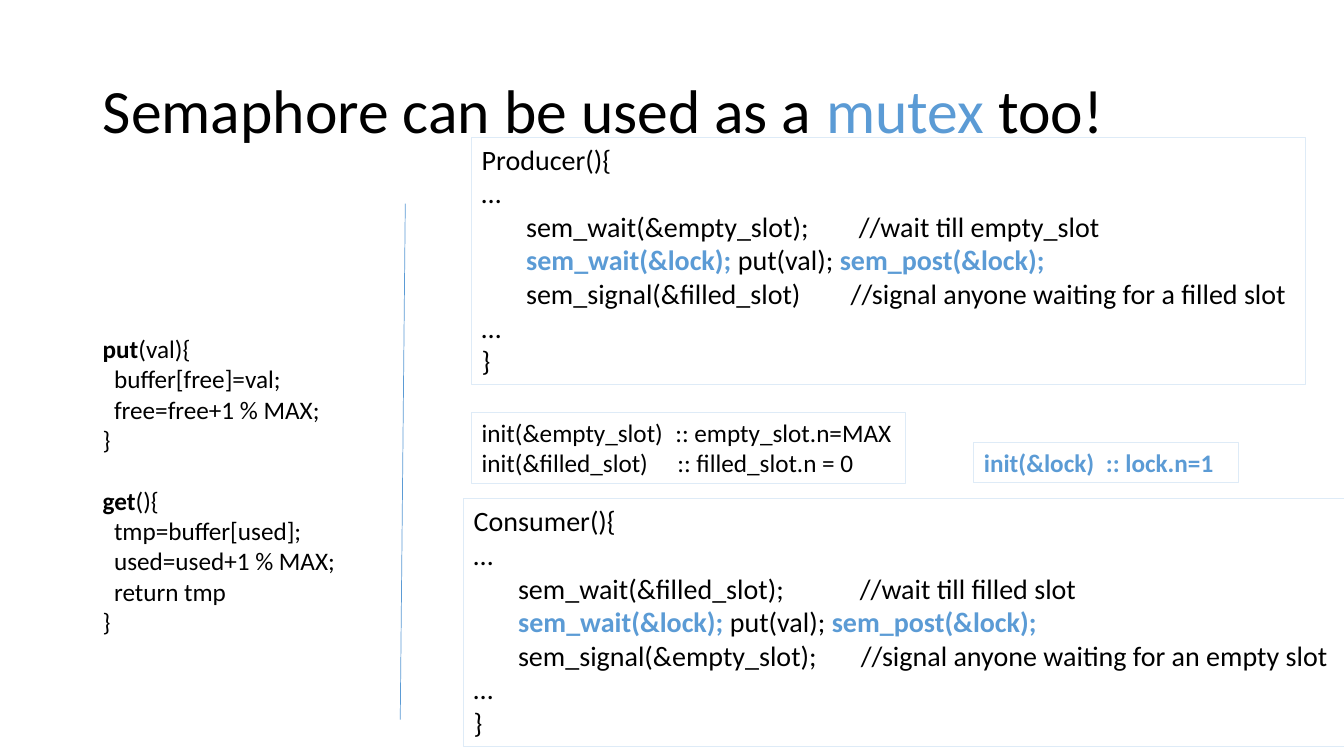
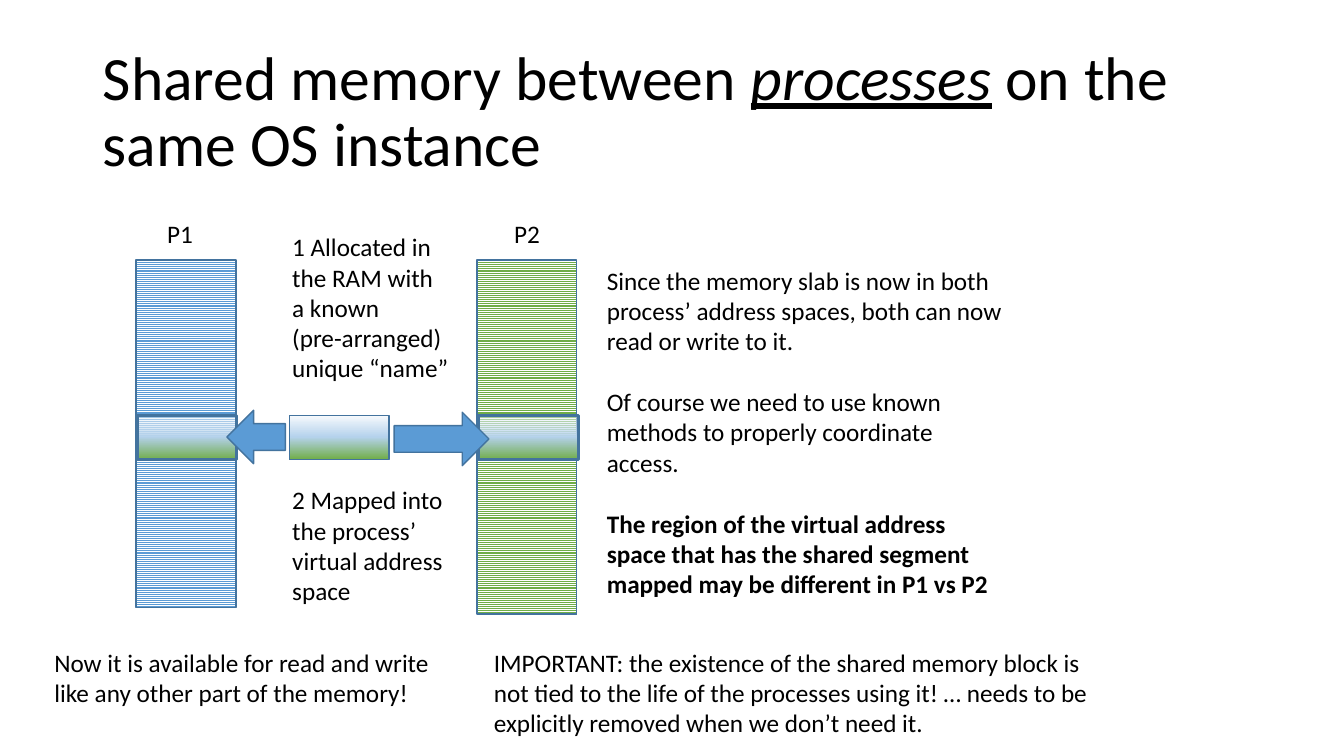
from pptx import Presentation, util as u
from pptx.dml.color import RGBColor
from pptx.enum import dml, shapes, text
from pptx.oxml import parse_xml
from pptx.oxml.ns import nsdecls

PX = 9144  # EMU in one px, 100 px to the inch
FONT = "Calibri"
COLORS = {
    "ink": "000000", "paper": "FFFFFF", "blue": "5B9BD5", "green": "70AD47",
    "outline": "43739E", "frame": "DEEBF7", "sky": "B5D2EC", "haze": "F7FAFD",
}
ACCENT = {"color": "blue"}
STRONG = {"bold": True}
LOCK = {"color": "blue", "bold": True}
BLANK_LINE = 22  # points


def color(name):
    return RGBColor.from_string(COLORS[name])


def px(*lengths):
    return [u.Emu(length * PX) for length in lengths]


def line(*runs, tab=None, gap=0):
    """One paragraph: runs are strings or (string, style) pairs."""
    return {"runs": runs, "tab": tab, "gap": gap}


class Deck:
    def __init__(self):
        self.presentation = Presentation()
        self.presentation.slide_width, self.presentation.slide_height = px(1333, 750)
        self.slide = None

    def new_slide(self, *title_runs):
        layout = self.presentation.slide_layouts[5]
        self.slide = self.presentation.slides.add_slide(layout)
        title = self.slide.shapes.title
        title.left, title.top, title.width, title.height = px(92, 40, 1150, 145)
        self.set_lines(title.text_frame, [line(*title_runs)], 44)
        title.text_frame.vertical_anchor = text.MSO_ANCHOR.MIDDLE
        title.text_frame.paragraphs[0].line_spacing = 0.9

    def set_lines(self, frame, lines, size, wrap=True):
        frame.word_wrap = wrap
        frame.auto_size = text.MSO_AUTO_SIZE.NONE
        frame.vertical_anchor = text.MSO_ANCHOR.TOP
        for index, item in enumerate(lines):
            item = line(item) if isinstance(item, str) else item
            paragraph = frame.paragraphs[0] if index == 0 else frame.add_paragraph()
            if item["tab"]:
                paragraph._p.get_or_add_pPr().append(parse_xml(
                    f'<a:tabLst {nsdecls("a")}>'
                    f'<a:tab pos="{item["tab"] * PX}" algn="l"/></a:tabLst>'))
            paragraph.alignment = text.PP_ALIGN.LEFT
            if item["gap"]:
                paragraph.space_before = u.Pt(item["gap"])
            for part in item["runs"]:
                words, style = (part, {}) if isinstance(part, str) else part
                run = paragraph.add_run()
                run.text = words
                run.font.name, run.font.size = FONT, u.Pt(size)
                run.font.bold = style.get("bold", False)
                run.font.italic = style.get("italic", False)
                run.font.underline = style.get("underline", False)
                run.font.color.rgb = color(style.get("color", "ink"))

    def label(self, box, lines, size=18, wrap=True):
        textbox = self.slide.shapes.add_textbox(*px(*box))
        self.set_lines(textbox.text_frame, lines, size, wrap)

    def shape(self, box, outline="outline", weight=1, kind="RECTANGLE"):
        shape = self.slide.shapes.add_shape(
            shapes.MSO_SHAPE[kind], *px(*box))
        shape.shadow.inherit = False
        shape.fill.background()
        shape.line.color.rgb = color(outline)
        shape.line.width = u.Pt(weight)
        return shape

    def code_box(self, box, lines, size):
        shape = self.shape(box, "frame", 0.75)
        self.set_lines(shape.text_frame, lines, size)

    def address_space(self, box, stripe):
        fill = self.shape(box).fill
        fill.patterned()
        fill.pattern = dml.MSO_PATTERN.LIGHT_HORIZONTAL
        fill.fore_color.rgb, fill.back_color.rgb = color(stripe), color("paper")

    def memory_block(self, box, weight=1, top_alpha=100):
        shape = self.shape(box, weight=weight)
        shape.fill.gradient()
        shape.fill.gradient_angle = 270
        stops = shape._element.spPr.find(".//{*}gsLst")
        for stop in list(stops):
            stops.remove(stop)
        for position, name, alpha in (
                (0, "haze", top_alpha), (49, "sky", 100), (100, "green", 100)):
            stops.append(parse_xml(
                f'<a:gs {nsdecls("a")} pos="{position * 1000}">'
                f'<a:srgbClr val="{COLORS[name]}"><a:alpha val="{alpha * 1000}"/>'
                '</a:srgbClr></a:gs>'))

    def arrow(self, box, rotation=0):
        arrow = self.shape(box, kind="RIGHT_ARROW")
        arrow.fill.solid()
        arrow.fill.fore_color.rgb = color("blue")
        arrow.rotation = rotation

    def divider(self, start, end):
        connector = self.slide.shapes.add_connector(
            shapes.MSO_CONNECTOR.STRAIGHT, *px(*start, *end))
        connector.line.color.rgb = color("blue")
        connector.line.width = u.Pt(0.5)
        connector._element.spPr.append(parse_xml(f'<a:effectLst {nsdecls("a")}/>'))


def routine(name, wait, wait_tab, signal, signal_tab):
    """Code of a producer or consumer, guarded by the lock."""
    indent = "       "
    return [
        f"{name}(){{", "…",
        line(f"{indent}{wait}", tab=wait_tab),
        line(indent, ("sem_wait(&lock); ", LOCK), "put(val); ",
             ("sem_post(&lock);", LOCK)),
        line(f"{indent}{signal}", tab=signal_tab),
        "…", "}",
    ]


def semaphore_slide(deck):
    deck.new_slide("Semaphore can be used as a ", ("mutex", ACCENT), " too!")

    # Buffer helpers
    deck.label((92, 326, 291, 313), [
        line(("put", STRONG), "(val){"),
        "  buffer[free]=val;", "  free=free+1 % MAX;", "}",
        line(("get", STRONG), "(){", gap=BLANK_LINE),
        "  tmp=buffer[used];", "  used=used+1 % MAX;", "  return tmp", "}",
    ])

    # Producer and consumer
    deck.code_box((468, 136, 827, 246), routine(
        "Producer", "sem_wait(&empty_slot);\t//wait till empty_slot", 374,
        "sem_signal(&filled_slot)\t//signal anyone waiting for a filled slot", 366), 20)
    deck.code_box((460, 495, 875, 246), routine(
        "Consumer", "sem_wait(&filled_slot);\t//wait till filled slot", 383,
        "sem_signal(&empty_slot);\t//signal anyone waiting for an empty slot", 384), 20)
    deck.divider((402, 202), (397, 714))

    # Initial values
    deck.code_box((468, 409, 430, 71), [
        line("init(&empty_slot)\t:: empty_slot.n=MAX", tab=192),
        line("init(&filled_slot)\t:: filled_slot.n = 0", tab=194)], 18)
    deck.code_box((966, 439, 262, 40), [
        line(("init(&lock)\t:: lock.n=1", LOCK), tab=121)], 18)


def shared_memory_slide(deck):
    deck.new_slide("Shared memory between ",
                   ("processes", {"italic": True, "underline": True}),
                   " on the same OS instance")

    # Address spaces of the two processes
    for name, name_left, left, height, stripe in (
            ("P1", 156, 135, 345, "blue"), ("P2", 500, 473, 351, "green")):
        deck.address_space((left, 258, 99, height), stripe)
        deck.label((name_left, 212, 46, 40), [name], wrap=False)

    # Shared block and its mappings
    deck.memory_block((287, 412, 99, 44))
    for left in (136, 475):
        deck.memory_block((left, 412, 99, 44), weight=2.25, top_alpha=40)
    deck.arrow((225, 407, 58, 53), rotation=180)
    deck.arrow((391, 409, 94, 53))

    # Steps
    deck.label((280, 225, 176, 162), [
        "1 Allocated in", "the RAM with", "a known", "(pre-arranged)",
        "unique “name”"], wrap=False)
    deck.label((280, 476, 173, 131),
               ["2 Mapped into the process’ virtual address space"])

    # Remarks
    deck.label((44, 637, 401, 101), [
        "Now it is available for read and write like any other part of the memory!"])
    deck.label((592, 258, 419, 343), [
        "Since the memory slab is now in both process’ address spaces, "
        "both can now read or write to it.",
        line("Of course we need to use known methods to properly coordinate access.",
             gap=BLANK_LINE),
        line(("The region of the virtual address space that has the shared segment "
              "mapped may be different in P1 vs P2", STRONG), gap=BLANK_LINE)])
    deck.label((480, 637, 631, 101), [
        "IMPORTANT: the existence of the shared memory block is not tied to the life "
        "of the processes using it! … needs to be explicitly removed when we "
        "don’t need it."])


def main():
    deck = Deck()
    semaphore_slide(deck)
    shared_memory_slide(deck)
    deck.presentation.save("out.pptx")


if __name__ == "__main__":
    main()
